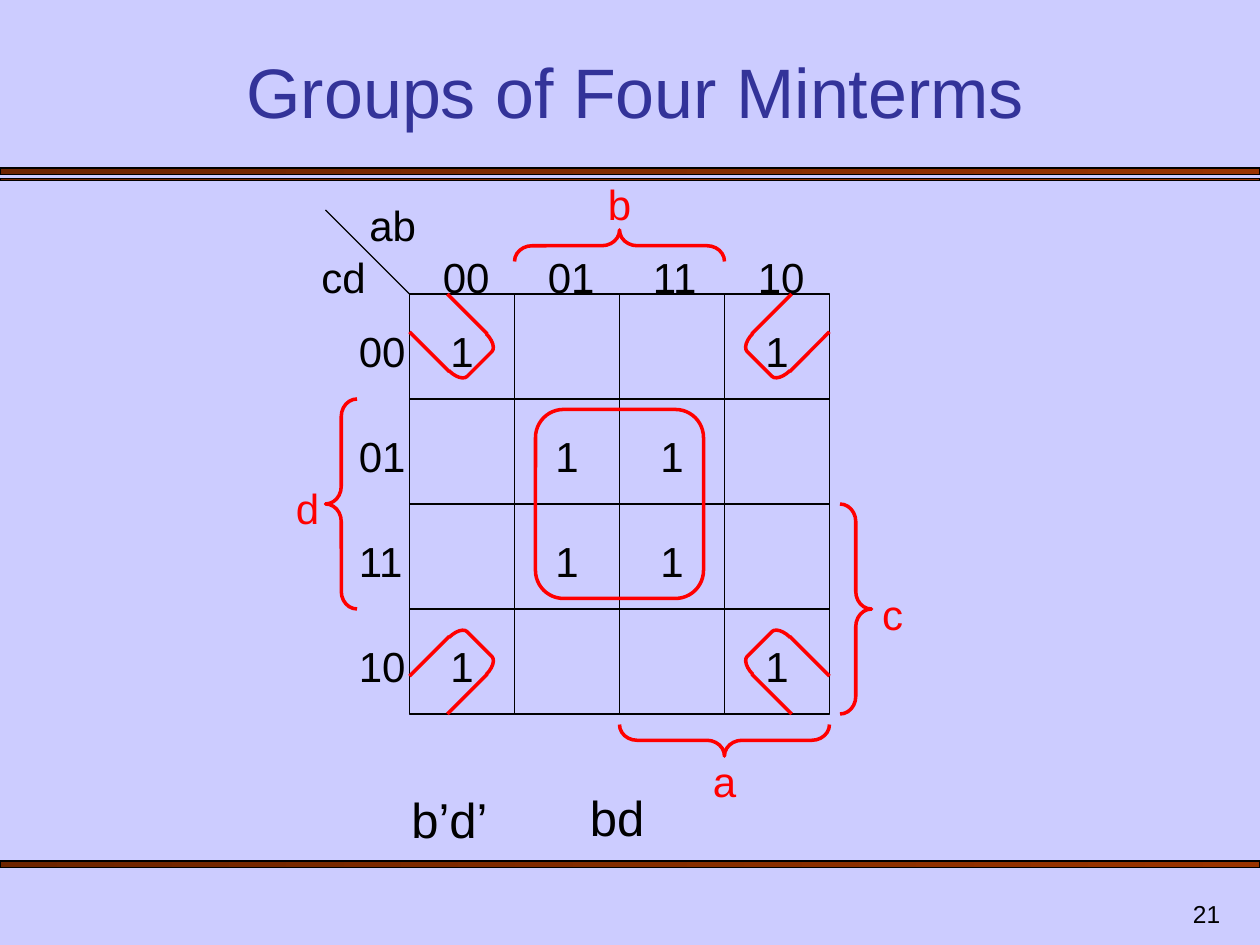
"""Build the Karnaugh map slide on groups of four minterms."""
from itertools import product

from lxml.etree import SubElement
from pptx import Presentation
from pptx.dml.color import RGBColor
from pptx.enum.shapes import MSO_CONNECTOR, MSO_SHAPE
from pptx.enum.text import MSO_ANCHOR, PP_ALIGN
from pptx.oxml.ns import qn
from pptx.util import Pt

PX = 7620
CELL, LEFT, TOP = 100, 390, 280
MID_X, MID_Y = LEFT + 2 * CELL, TOP + 2 * CELL
CODES = ["00", "01", "11", "10"]
COLORS = {"background": "CCCCFF", "title": "333399", "ink": "000000",
          "group": "FF0000", "bar_dark": "6D2400", "bar_light": "993300"}


class Board:
    def __init__(self, prs):
        self.s = prs.slides.add_slide(prs.slide_layouts[6])
        fill = self.s.background.fill
        fill.solid()
        fill.fore_color.rgb = self.color("background")

    def color(self, name):
        return RGBColor.from_string(COLORS[name])

    def stroke(self, item, color, width):
        item.line.color.rgb = self.color(color)
        item.line.width = Pt(width)

    def shape(self, kind, x, y, w, h, color="ink", width=0.75, rotation=0, adjust=None):
        sp = self.s.shapes.add_shape(kind, x * PX, y * PX, w * PX, h * PX)
        sp.shadow.inherit = False
        sp.fill.background()
        sp.rotation = rotation
        if adjust is not None:
            sp.adjustments[0] = adjust
        self.stroke(sp, color, width)
        return sp

    def bar(self, y, h):
        sp = self.shape(MSO_SHAPE.RECTANGLE, 0, y, 1200, h)
        sp.fill.gradient()
        sp.fill.gradient_angle = 0
        for stop, name in zip(sp.fill.gradient_stops, ("bar_dark", "bar_light")):
            stop.color.rgb = self.color(name)

    def line(self, x1, y1, x2, y2, color="ink", width=0.75):
        cx = self.s.shapes.add_connector(
            MSO_CONNECTOR.STRAIGHT, x1 * PX, y1 * PX, x2 * PX, y2 * PX)
        self.stroke(cx, color, width)
        SubElement(cx._element.spPr, qn("a:effectLst"))

    def text(self, text, x, y, w, h, size=24, color="ink",
             align=PP_ALIGN.LEFT, anchor=MSO_ANCHOR.TOP):
        tf = self.s.shapes.add_textbox(x * PX, y * PX, w * PX, h * PX).text_frame
        tf.word_wrap = True
        tf.vertical_anchor = anchor
        if anchor == MSO_ANCHOR.TOP:
            tf.margin_top = 10 * PX
        p = tf.paragraphs[0]
        p.alignment = align
        r = p.add_run()
        r.text = text
        r.font.name = "Arial"
        r.font.size = Pt(size)
        r.font.color.rgb = self.color(color)

    def brace(self, x, y, rotation):
        self.shape(MSO_SHAPE.LEFT_BRACE, x, y, 30, 200, "group", 2, rotation, 0.556)

    def corner(self, sx, sy, rotation):
        x, y = MID_X + sx * 139, MID_Y + sy * 139
        self.shape(MSO_SHAPE.LEFT_BRACKET, x - 8, y - 25, 16, 50,
                   "group", 2, rotation, 0.521)
        for dx1, dy1, dx2, dy2 in ((126, 162, 164, 200), (162, 126, 200, 164)):
            self.line(MID_X + sx * dx1, MID_Y + sy * dy1,
                      MID_X + sx * dx2, MID_Y + sy * dy2, "group", 2)


def main():
    prs = Presentation()
    prs.slide_width, prs.slide_height = 1200 * PX, 900 * PX
    board = Board(prs)

    for y, h in ((160, 6), (170, 2), (820, 6)):
        board.bar(y, h)
    board.text("21", 924, 840, 250, 50, 14, align=PP_ALIGN.RIGHT, anchor=MSO_ANCHOR.BOTTOM)
    board.text("Groups of Four Minterms", 70, 50, 1070, 82, 40, "title",
               PP_ALIGN.CENTER, MSO_ANCHOR.BOTTOM)

    for row, col in product(range(4), repeat=2):
        board.shape(MSO_SHAPE.RECTANGLE, LEFT + col * CELL, TOP + row * CELL, CELL, CELL)
    board.line(310, 200, LEFT, TOP)
    board.text("ab", 340, 180, 80, 60)
    board.text("cd", 290, 230, 70, 60, align=PP_ALIGN.RIGHT)
    for i, code in enumerate(CODES):
        board.text(code, LEFT + 20 + i * CELL, 230, 72, 60)
        board.text(code, 330, TOP + 20 + i * CELL, 72, 60)

    for row, col in [*product((0, 3), repeat=2), *product((1, 2), repeat=2)]:
        board.text("1", LEFT + col * CELL, TOP + 20 + row * CELL, CELL, 60,
                   align=PP_ALIGN.CENTER)

    board.shape(MSO_SHAPE.ROUNDED_RECTANGLE, 510, 390, 160, 180, "group", 2, adjust=0.167)
    for sx, sy, rotation in ((1, -1, 315), (-1, -1, 225), (-1, 1, 135), (1, 1, 45)):
        board.corner(sx, sy, rotation)

    for x, y, rotation in ((675, 605, 270), (575, 134, 90), (800, 480, 180), (310, 380, 0)):
        board.brace(x, y, rotation)
    for name, x, y, align in (("a", 660, 710, PP_ALIGN.CENTER),
                              ("b", 560, 160, PP_ALIGN.CENTER),
                              ("c", 820, 550, PP_ALIGN.CENTER),
                              ("d", 270, 450, PP_ALIGN.LEFT)):
        board.text(name, x, y, 60, 60, color="group", align=align)

    board.text("b’d’", 380, 742, 110, 68, 28)
    board.text("bd", 550, 740, 110, 68, 28)
    prs.save("out.pptx")


if __name__ == "__main__":
    main()
